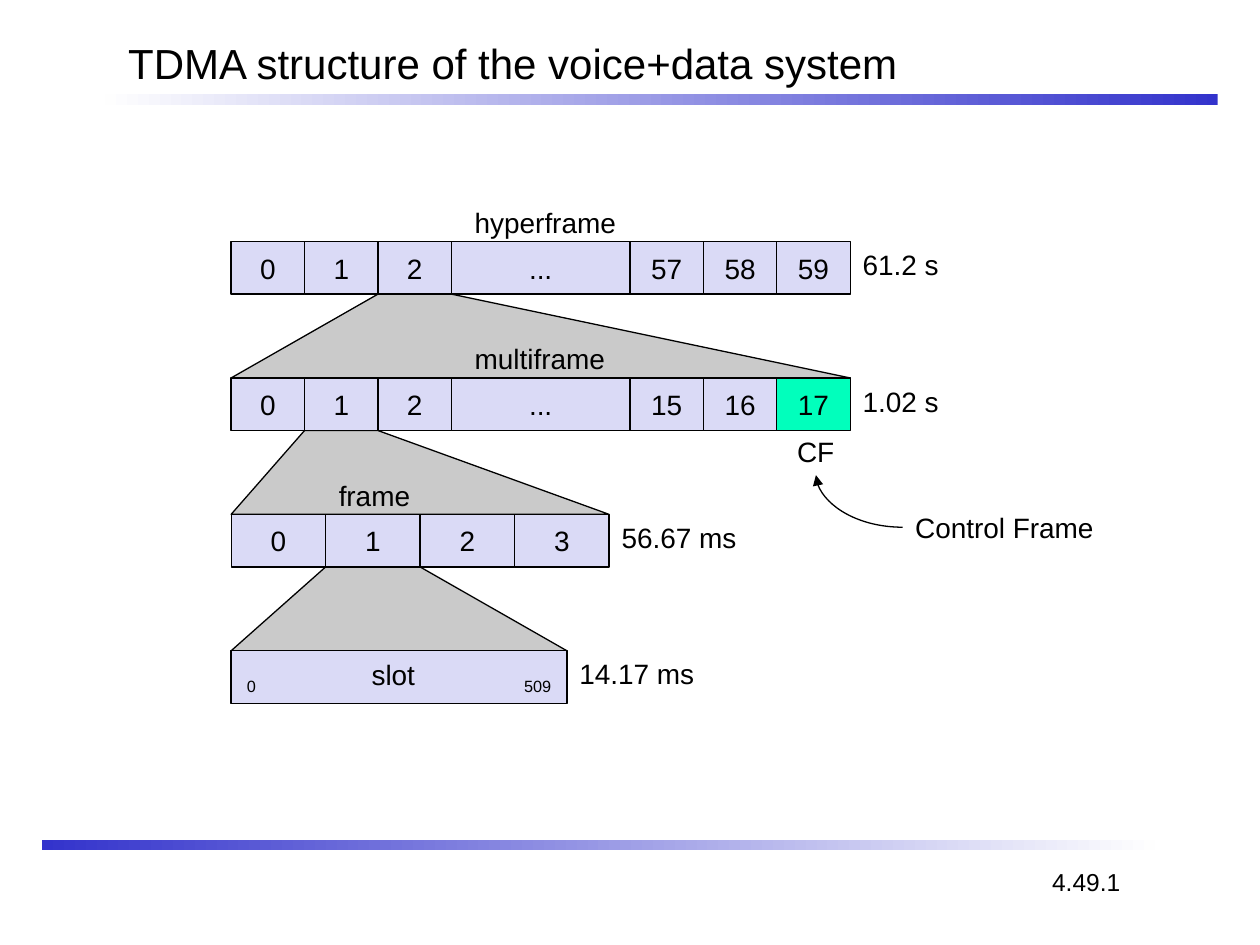
from itertools import accumulate

from lxml import etree
from pptx import Presentation
from pptx.dml.color import RGBColor
from pptx.enum.shapes import MSO_CONNECTOR, MSO_SHAPE
from pptx.enum.text import MSO_ANCHOR, PP_ALIGN
from pptx.oxml.ns import qn
from pptx.util import Cm, Pt

RECTANGLE = MSO_SHAPE.RECTANGLE
CURVE = MSO_CONNECTOR.CURVE
LEFT, CENTER = PP_ALIGN.LEFT, PP_ALIGN.CENTER
MIDDLE = MSO_ANCHOR.MIDDLE

COLORS = {
    "ink": "000000",
    "bar": "3333CC",
    "fade": "FEFEFE",
    "cell": "DADAF6",
    "control": "01FFBC",
    "zoom": "969696",
}

ROW_LEFT, ROW_TOP, ROW_PITCH, ROW_HEIGHT = 4.66, 4.87, 2.75, 1.06
LABEL_RISE = 0.85
LONG_ROW = [1.48] * 3 + [3.6] + [1.48] * 3
ROWS = [
    {"widths": LONG_ROW, "texts": ["0", "1", "2", "...", "57", "58", "59"],
     "opened": 2, "duration": ("61.2 s", 2.25), "label": ("hyperframe", 9.32, 3.55)},
    {"widths": LONG_ROW, "texts": ["0", "1", "2", "...", "15", "16", "17"],
     "opened": 1, "duration": ("1.02 s", 2.25), "label": ("multiframe", 9.32, 3.35),
     "control": 6},
    {"widths": [1.905] * 4, "texts": ["0", "1", "2", "3"],
     "opened": 1, "duration": ("56.67 ms", 3.05), "label": ("frame", 6.58, 2.15)},
    {"widths": [6.77], "texts": [""], "duration": ("14.17 ms", 3.05)},
]


def color(name):
    """Return the named colour."""
    return RGBColor.from_string(COLORS[name])


def add_text(paragraph, text, size=16, align=LEFT, baseline=0):
    """Append a formatted run to a paragraph."""
    paragraph.alignment = align
    run = paragraph.add_run()
    run.text = text
    run.font.name = "Arial"
    run.font.size = Pt(size)
    run.font.color.rgb = color("ink")
    if baseline:
        run.font._element.set("baseline", str(baseline * 1000))


class SlideBuilder:
    """Hold the line style and the current slide, and add its elements."""

    def __init__(self, slide, line_width=0.75):
        """Keep the slide and the outline width."""
        self.slide = slide
        self.shapes = slide.shapes
        self.line_width = Pt(line_width)

    def outline(self, line):
        """Apply the common outline."""
        line.color.rgb = color("ink")
        line.width = self.line_width

    def title(self, text, left, top, width, height):
        """Fill and place the title placeholder."""
        heading = self.shapes.title
        heading.left, heading.top = Cm(left), Cm(top)
        heading.width, heading.height = Cm(width), Cm(height)
        heading.text_frame.vertical_anchor = MIDDLE
        add_text(heading.text_frame.paragraphs[0], text, size=24)

    def box(self, left, top, width, height, fill):
        """Add a borderless filled rectangle."""
        shape = self.shapes.add_shape(RECTANGLE, Cm(left), Cm(top), Cm(width), Cm(height))
        shape.shadow.inherit = False
        shape.fill.solid()
        shape.fill.fore_color.rgb = color(fill)
        shape.line.fill.background()
        return shape

    def gradient_bar(self, left, top, first, last):
        """Add a thin bar that fades from right to left."""
        bar = self.box(left, top, 22.43, 0.21, first)
        bar.fill.gradient()
        bar.fill.gradient_angle = 180
        for stop, name in zip(bar.fill.gradient_stops, (first, last)):
            stop.color.rgb = color(name)

    def cell(self, left, top, width, text, fill):
        """Add one outlined time interval."""
        interval = self.box(left, top, width, ROW_HEIGHT, fill)
        self.outline(interval.line)
        frame = interval.text_frame
        frame.word_wrap = False
        frame.vertical_anchor = MIDDLE
        if text:
            add_text(frame.paragraphs[0], text, align=CENTER)
        return interval

    def label(self, text, left, top, width, height=0.94, size=16):
        """Add a one-line text label."""
        caption = self.shapes.add_textbox(Cm(left), Cm(top), Cm(width), Cm(height))
        caption.text_frame.word_wrap = True
        add_text(caption.text_frame.paragraphs[0], text, size=size)

    def zoom(self, upper, lower, top, bottom):
        """Add the translucent area between an interval and its enlargement."""
        corners = [(upper[0], top), (lower[0], bottom), (lower[1], bottom), (upper[1], top)]
        start, *others = [(Cm(x), Cm(y)) for x, y in corners]
        builder = self.shapes.build_freeform(*start)
        builder.add_line_segments(others, close=True)
        area = builder.convert_to_shape()
        area.shadow.inherit = False
        area.fill.solid()
        area.fill.fore_color.rgb = color("zoom")
        self.outline(area.line)
        tint = area._element.spPr.find(qn("a:solidFill"))[0]
        etree.SubElement(tint, qn("a:alpha"), val="50000")

    def curved_arrow(self, start, end):
        """Add a quarter-turn arrow."""
        arrow = self.shapes.add_connector(CURVE, *[Cm(value) for value in start + end])
        self.outline(arrow.line)
        properties = arrow._element.spPr
        properties.find(qn("a:prstGeom")).set("prst", "curvedConnector2")
        etree.SubElement(properties.find(qn("a:ln")), qn("a:tailEnd"), type="triangle")
        etree.SubElement(properties, qn("a:effectLst"))

    def slot_text(self, slot):
        """Write the slot name between its first and last bit numbers."""
        frame = slot.text_frame
        frame.word_wrap = True
        frame.margin_left = Cm(0.32)
        paragraph = frame.paragraphs[0]
        tabs = etree.SubElement(paragraph._p.get_or_add_pPr(), qn("a:tabLst"))
        for position, align in ((2.95, "ctr"), (6.13, "r")):
            etree.SubElement(tabs, qn("a:tab"), pos=str(Cm(position)), algn=align)
        add_text(paragraph, "0", baseline=-25)
        add_text(paragraph, "\tslot\t")
        add_text(paragraph, "509", baseline=-25)


def main():
    """Build and save the slide."""
    deck = Presentation()
    deck.slide_width, deck.slide_height = Cm(25.4), Cm(19.05)
    page = SlideBuilder(deck.slides.add_slide(deck.slide_layouts[5]))

    page.gradient_bar(2.12, 1.9, "bar", "fade")
    page.gradient_bar(0.85, 16.93, "fade", "bar")
    page.title("TDMA structure of the voice+data system", 2.33, 0.63, 21.59, 1.27)
    page.label("4.49.1", 20.96, 17.36, 2.1, height=0.86, size=14)

    edges = [list(accumulate(row["widths"], initial=ROW_LEFT)) for row in ROWS]
    tops = [ROW_TOP + index * ROW_PITCH for index in range(len(ROWS))]
    for index, row in enumerate(ROWS[:-1]):
        opened = row["opened"]
        page.zoom(edges[index][opened:opened + 2],
                  (ROW_LEFT, edges[index + 1][-1]),
                  tops[index] + ROW_HEIGHT, tops[index + 1])

    for row, lefts, top in zip(ROWS, edges, tops):
        for number, (left, width, text) in enumerate(zip(lefts, row["widths"], row["texts"])):
            fill = "control" if number == row.get("control") else "cell"
            interval = page.cell(left, top, width, text, fill)
        duration, duration_width = row["duration"]
        page.label(duration, lefts[-1], top, duration_width)
        if "label" in row:
            name, left, width = row["label"]
            page.label(name, left, top - LABEL_RISE, width)
    page.slot_text(interval)

    page.label("CF", 15.82, 8.64, 1.5)
    page.label("Control Frame", 18.2, 10.16, 4.4)
    page.curved_arrow((18.2, 10.63), (16.45, 9.58))
    deck.save("out.pptx")


if __name__ == "__main__":
    main()
